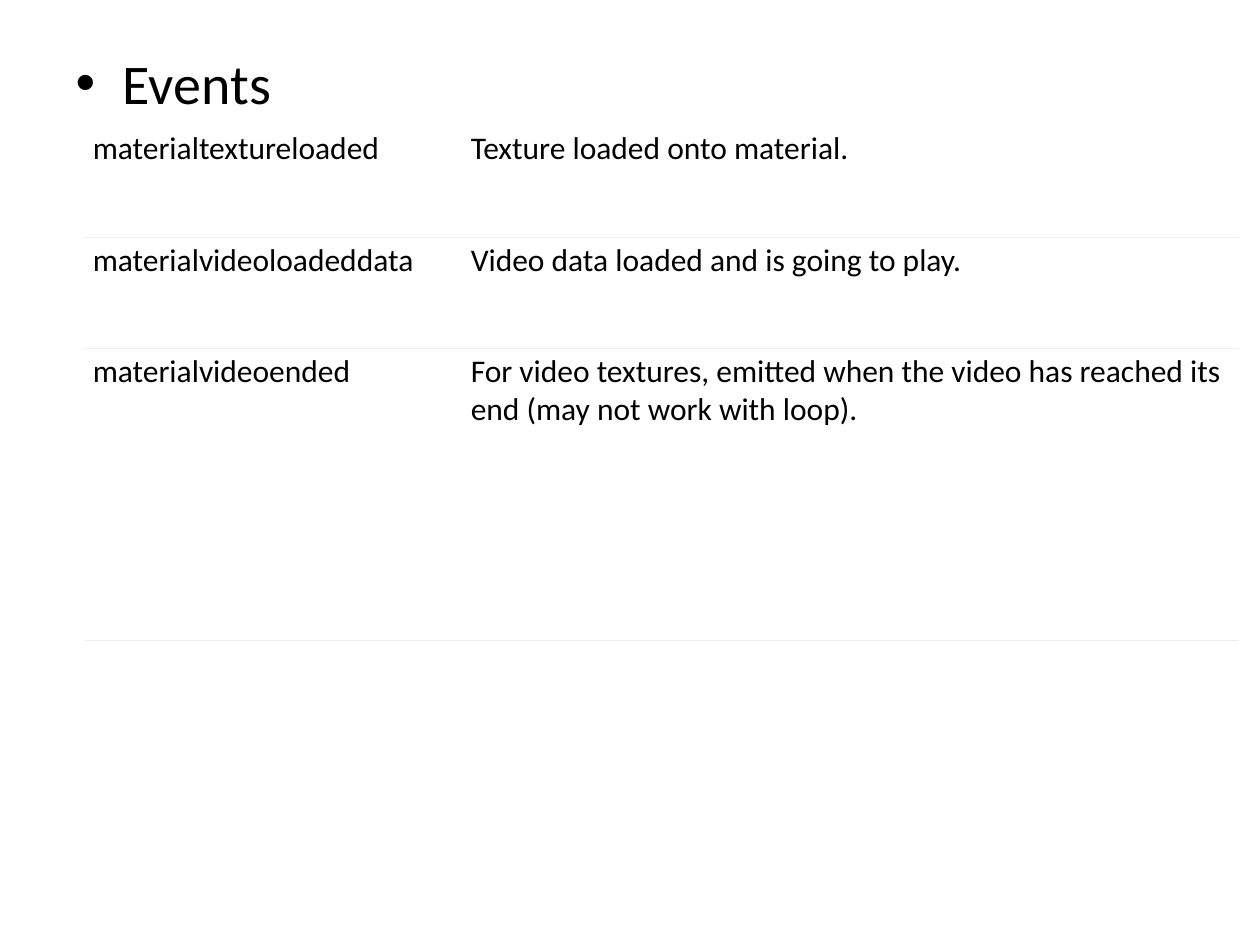
from lxml import etree
from pptx import Presentation
from pptx import util as u
from pptx.dml.color import RGBColor
from pptx.enum import text
from pptx.oxml import ns

COLORS = {"ink": "000000", "paper": "FFFFFF", "rule": "EEEEEE"}

EVENTS = [
    ("materialtextureloaded", "Texture loaded onto material."),
    ("materialvideoloadeddata", "Video data loaded and is going to play."),
    ("materialvideoended",
     "For video textures, emitted when the video has reached its end "
     "(may not work with loop)."),
]


class EventSlide:
    """Holds the style and the current slide."""

    font = "Calibri"
    rule_width = u.Pt(0.6)

    def __init__(self, deck):
        self.slide = deck.slides.add_slide(deck.slide_layouts[1])
        title = self.slide.shapes.title
        title.element.getparent().remove(title.element)

    def add_words(self, paragraph, words, size):
        run = paragraph.add_run()
        run.text = words
        run.font.name = self.font
        run.font.size = u.Pt(size)
        run.font.color.rgb = RGBColor.from_string(COLORS["ink"])

    def bullet(self, words, left, top, width, height):
        body = self.slide.placeholders[1]
        body.left, body.top = u.Cm(left), u.Cm(top)
        body.width, body.height = u.Cm(width), u.Cm(height)
        self.add_words(body.text_frame.paragraphs[0], words, 32)

    def borders(self, cell, ruled):
        """Rule the named sides and clear the others."""
        properties = cell._tc.get_or_add_tcPr()
        for position, side in enumerate(("lnL", "lnR", "lnT", "lnB")):
            line = etree.Element(ns.qn(f"a:{side}"), w=str(self.rule_width))
            if side in ruled:
                fill = etree.SubElement(line, ns.qn("a:solidFill"))
                etree.SubElement(fill, ns.qn("a:srgbClr"), val=COLORS["rule"])
            else:
                etree.SubElement(line, ns.qn("a:noFill"))
            properties.insert(position, line)

    def table(self, rows, left, top, widths, heights):
        frame = self.slide.shapes.add_table(
            len(rows), len(widths), u.Cm(left), u.Cm(top),
            u.Cm(sum(widths)), u.Cm(sum(heights)))
        grid = frame.table
        grid.first_row = grid.horz_banding = False
        for column, width in zip(grid.columns, widths):
            column.width = u.Cm(width)
        for r, (row, height) in enumerate(zip(rows, heights)):
            grid.rows[r].height = u.Cm(height)
            for c, words in enumerate(row):
                cell = grid.cell(r, c)
                cell.margin_left = cell.margin_right = u.Cm(0.18)
                cell.margin_top = cell.margin_bottom = u.Cm(0.08)
                cell.vertical_anchor = text.MSO_ANCHOR.TOP
                cell.fill.solid()
                cell.fill.fore_color.rgb = RGBColor.from_string(COLORS["paper"])
                self.borders(cell, ("lnT", "lnB") if r else ("lnB",))
                self.add_words(cell.text_frame.paragraphs[0], words, 18)


def main():
    deck = Presentation()
    deck.slide_width, deck.slide_height = u.Cm(25.4), u.Cm(19.05)
    page = EventSlide(deck)

    # Heading bullet
    page.bullet("Events", 1.27, 0.85, 22.86, 16.17)

    # Event names and their meaning
    page.table(EVENTS, 1.69, 2.54, widths=(7.62, 15.67),
               heights=(2.24, 2.24, 5.89))

    deck.save("out.pptx")


if __name__ == "__main__":
    main()
